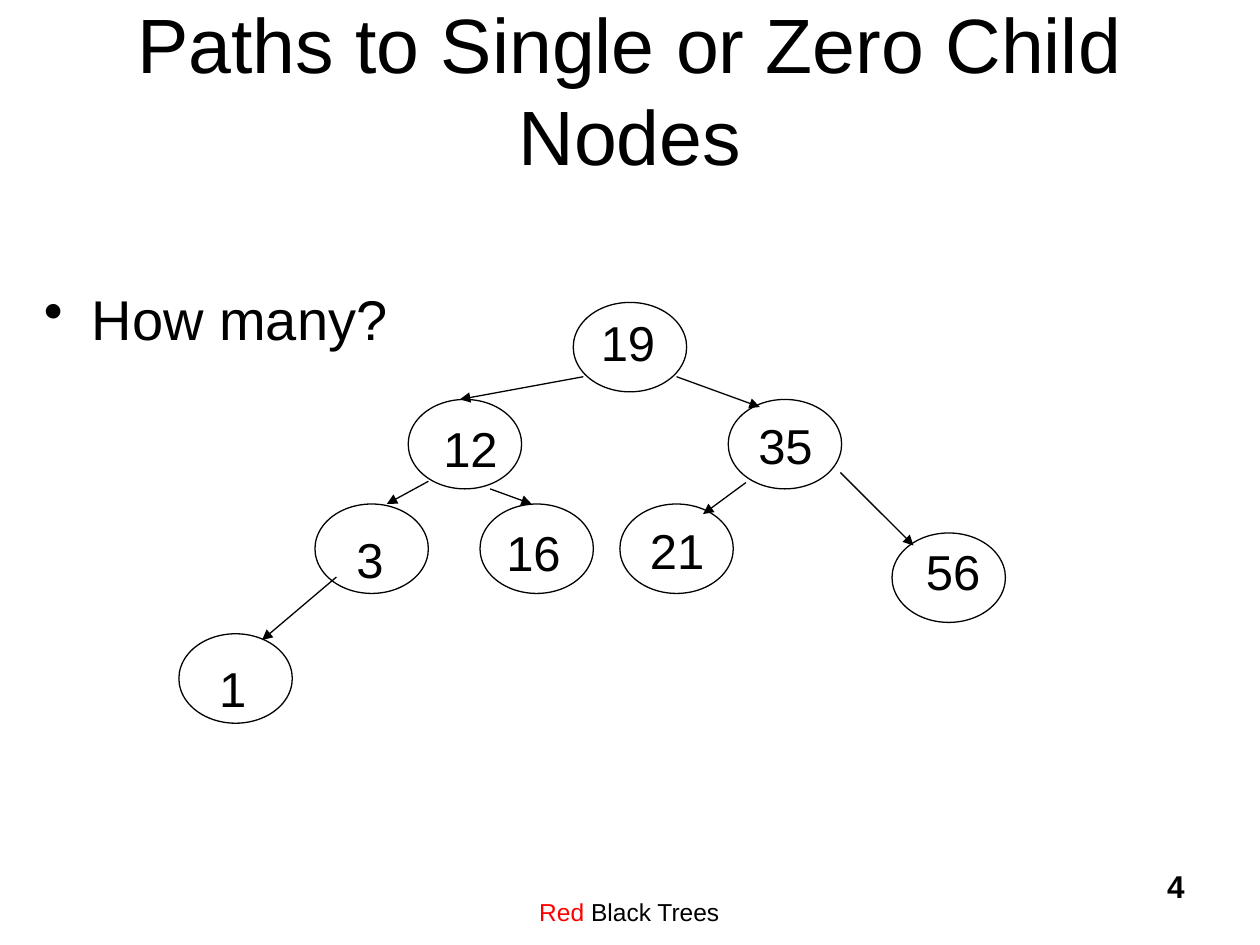
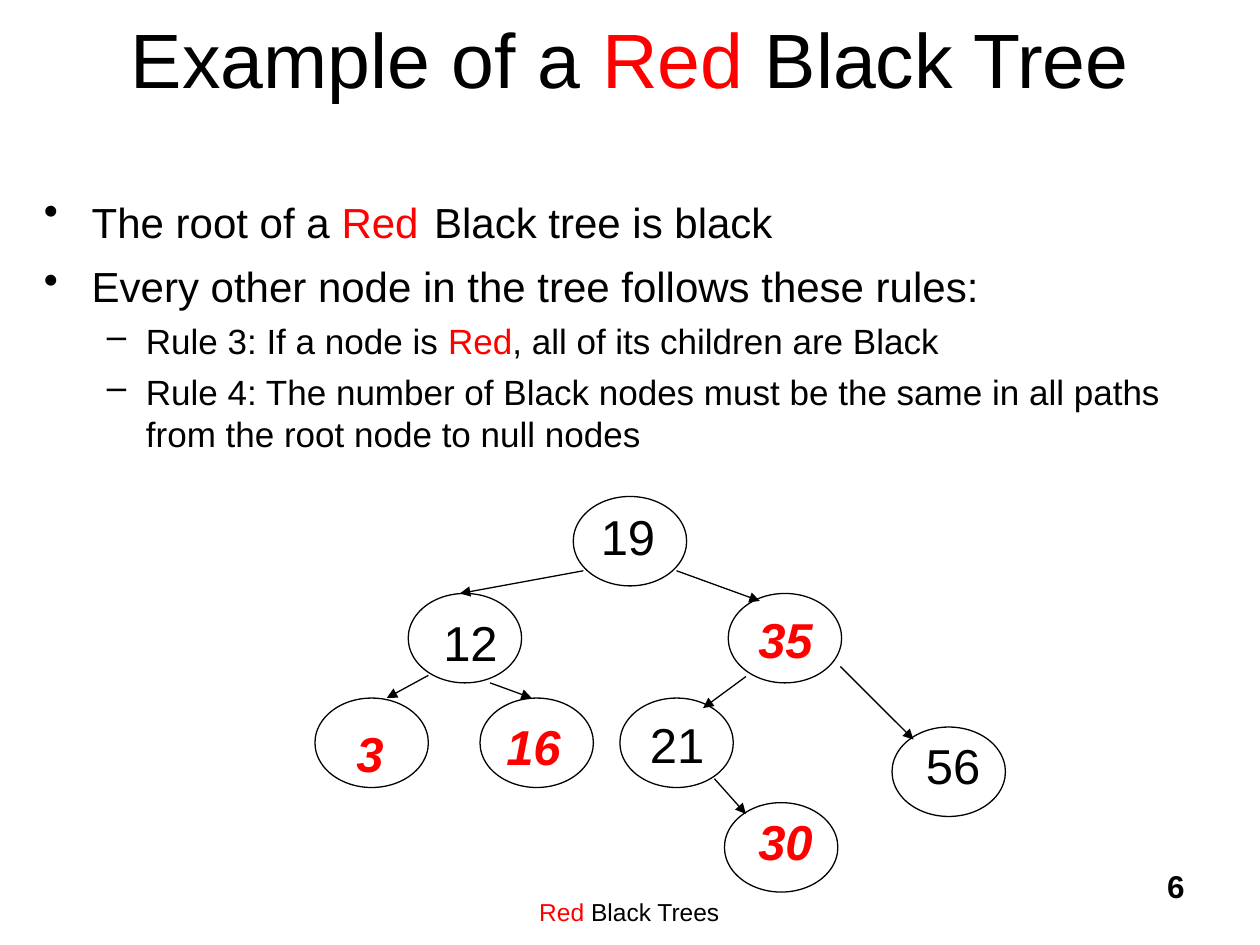
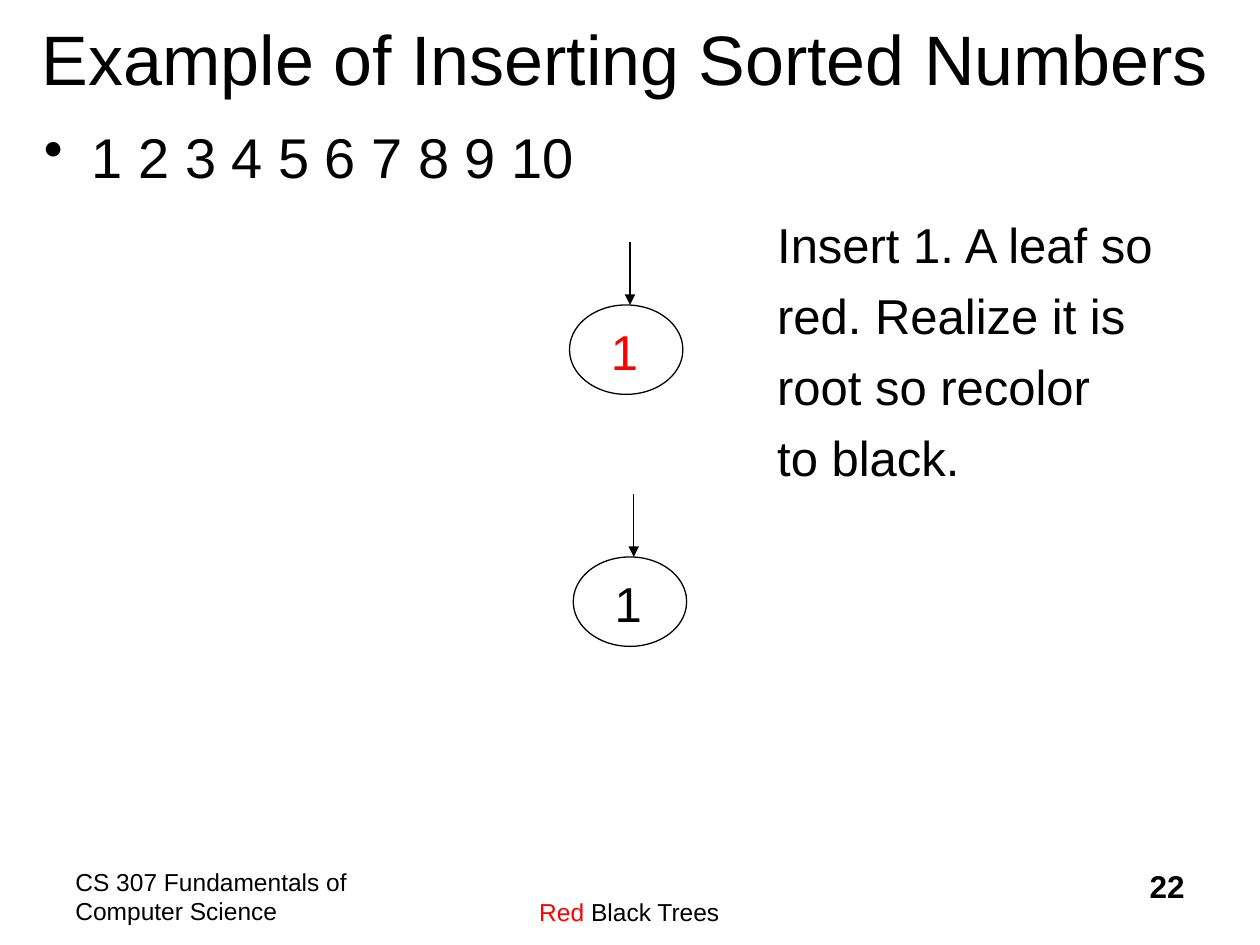
from lxml import etree
from pptx import Presentation
from pptx.dml.color import RGBColor
from pptx.enum.shapes import MSO_CONNECTOR, MSO_SHAPE
from pptx.enum.text import MSO_ANCHOR, MSO_AUTO_SIZE, PP_ALIGN
from pptx.oxml.ns import qn
from pptx.util import Inches, Pt

LEFT, CENTER, RIGHT = PP_ALIGN.LEFT, PP_ALIGN.CENTER, PP_ALIGN.RIGHT
TOP, MIDDLE = MSO_ANCHOR.TOP, MSO_ANCHOR.MIDDLE
OVAL, STRAIGHT = MSO_SHAPE.OVAL, MSO_CONNECTOR.STRAIGHT
GROW = MSO_AUTO_SIZE.SHAPE_TO_FIT_TEXT

# Shared style
FONT = "Arial"
BLACK, RED = "000000", "FF0000"
THIN = 0.74
NODE_W, NODE_H = 0.9, 0.71
BODY = (0.25, 0.92, 9.5, 6)
RED_WORD = ("Red", {"color": RED})
# Per level: bullet, left margin, hanging indent
BULLETS = [("\u2022", 0.38, 0.38), ("\u2013", 0.81, 0.31)]

# Tree, measured from the top of its root: oval x, y, then label x, y
NODES = {
    19: (4.55, 0, 4.67, 0.03),
    12: (3.24, 0.77, 3.42, 0.87),
    35: (5.78, 0.77, 5.92, 0.85),
    3: (2.5, 1.6, 2.73, 1.75),
    16: (3.81, 1.6, 3.92, 1.7),
    21: (4.92, 1.6, 5.06, 1.68),
    56: (7.08, 1.83, 7.25, 1.85),
    1: (1.42, 2.63, 1.64, 2.78),
    30: (5.75, 2.43, 5.92, 2.45),
}
# Arrow into each child: start x, y, then end x, y
ARROWS = {
    12: (4.63, 0.59, 3.65, 0.77),
    35: (5.37, 0.59, 6.03, 0.83),
    3: (3.4, 1.42, 3.07, 1.6),
    16: (3.89, 1.48, 4.22, 1.6),
    21: (5.92, 1.43, 5.58, 1.68),
    56: (6.67, 1.35, 7.25, 1.93),
    1: (2.67, 2.18, 2.08, 2.68),
    30: (5.67, 2.24, 5.92, 2.52),
}
CORE = [19, 12, 35, 3, 16, 21, 56]


def rgb(code):
    return RGBColor.from_string(code)


def fill_line(para, runs, **base):
    """Add runs to a paragraph; a run is text, or text with overrides."""
    for run in [runs] if isinstance(runs, str) else runs:
        words, own = (run, {}) if isinstance(run, str) else run
        look = {**base, **own}
        part = para.add_run()
        part.text = words
        part.font.name = FONT
        part.font.size = Pt(look["size"])
        part.font.color.rgb = rgb(look.get("color", BLACK))
        part.font.bold = look.get("bold", False)
        part.font.italic = look.get("italic", False)


def add_text(slide, box, lines, align=LEFT, anchor=TOP, before=0, inset=0.05,
             wrap=True, levels=None, sizes=None, **look):
    """Add a text box; lines holds one entry for each paragraph."""
    frame = slide.shapes.add_textbox(*map(Inches, box)).text_frame
    frame.word_wrap = wrap
    frame.vertical_anchor = anchor
    frame.margin_top = Inches(inset)
    if not wrap:
        frame.auto_size = GROW
    for i, runs in enumerate(lines):
        para = frame.paragraphs[0] if i == 0 else frame.add_paragraph()
        para.alignment = align
        level = levels[i] if levels else None
        size = sizes[level] if sizes else look["size"]
        para.space_before = Pt(size / 4 if levels else before)
        if levels:
            add_bullet(para, level)
        fill_line(para, runs, **{**look, "size": size})


def add_bullet(para, level):
    mark, margin, hang = BULLETS[level]
    para.level = level
    props = para._p.get_or_add_pPr()
    props.set("marL", str(Inches(margin)))
    props.set("indent", str(-Inches(hang)))
    etree.SubElement(props, qn("a:buChar")).set("char", mark)


def add_node(slide, label, spot, top=0, **look):
    x, y, text_x, text_y = spot
    oval = slide.shapes.add_shape(OVAL, Inches(x), Inches(top + y),
                                  Inches(NODE_W), Inches(NODE_H))
    oval.shadow.inherit = False
    oval.fill.background()
    oval.line.color.rgb = rgb(BLACK)
    oval.line.width = Pt(THIN)
    label = str(label)
    box = (text_x, top + text_y, 0.19 + 0.22 * len(label), 0.57)
    add_text(slide, box, [label], wrap=False, size=28, before=7, **look)


def add_arrow(slide, ends, top=0):
    x1, y1, x2, y2 = ends
    arrow = slide.shapes.add_connector(STRAIGHT, Inches(x1), Inches(top + y1),
                                       Inches(x2), Inches(top + y2))
    arrow.line.color.rgb = rgb(BLACK)
    arrow.line.width = Pt(THIN)
    etree.SubElement(arrow.line._get_or_add_ln(),
                     qn("a:tailEnd")).set("type", "triangle")
    etree.SubElement(arrow._element.spPr, qn("a:effectLst"))


def add_tree(slide, top, keys, reds=()):
    for key in keys:
        look = {}
        if key in reds:
            look = {"color": RED, "bold": True, "italic": True}
        add_node(slide, key, NODES[key], top, **look)
        if key in ARROWS:
            add_arrow(slide, ARROWS[key], top)


def add_slide(deck, number, title, box, size=44):
    """Start a slide with its title, footer and number."""
    slide = deck.slides.add_slide(deck.slide_layouts[6])
    add_text(slide, (3.08, 6.83, 3.83, 0.5), [[RED_WORD, " Black Trees"]],
             align=CENTER, inset=0.29, size=14)
    add_text(slide, (7.42, 6.83, 2.08, 0.5), [str(number)],
             align=RIGHT, size=18, bold=True)
    add_text(slide, box, [title], align=CENTER, anchor=MIDDLE, size=size)
    return slide


def paths_slide(deck):
    slide = add_slide(deck, 4, "Paths to Single or Zero Child Nodes",
                      (0.75, 0.08, 8.5, 1.25))
    add_text(slide, BODY, ["How many?"], levels=[0], inset=1.34, size=32)
    add_tree(slide, 2.4, CORE + [1])


def rules_slide(deck):
    slide = add_slide(deck, 6, ["Example of a ", RED_WORD, " Black Tree"],
                      (0.75, -0.17, 8.5, 1.25))
    rules = [
        ["The root of a ", RED_WORD, (" ", {"size": 32}),
         "Black tree is black"],
        "Every other node in the tree follows these rules:",
        ["Rule 3: If a node is ", RED_WORD,
         ", all of its children are Black"],
        "Rule 4: The number of Black nodes must be the same in all paths "
        "from the root node to null nodes",
    ]
    add_text(slide, BODY, rules, levels=[0, 0, 1, 1], sizes=[24, 20],
             inset=0.53)
    add_tree(slide, 3.94, CORE + [30], reds=(35, 3, 16, 30))


def insert_slide(deck):
    slide = add_slide(deck, 22, "Example of Inserting Sorted Numbers",
                      (0.17, -0.17, 9.58, 1.25), size=40)
    add_text(slide, (0.5, 6.83, 2.5, 0.5),
             ["CS 307 Fundamentals of Computer Science"], size=14)
    add_text(slide, BODY, ["1 2 3 4 5 6 7 8 9 10"], levels=[0], size=32)
    # The new node, before and after it is recolored
    for x, top, color in [(4.52, 2.42, RED), (4.55, 4.42, BLACK)]:
        add_node(slide, 1, (x, 0, x + 0.23, 0.08), top, color=color)
        add_arrow(slide, (x + 0.48, -0.5, x + 0.48, 0), top)
    add_text(slide, (6.07, 1.65, 3.33, 2.26),
             ["Insert 1. A leaf so", "red. Realize it is",
              "root so recolor", "to black."], size=28, before=7)


def main():
    deck = Presentation()
    deck.slide_width, deck.slide_height = Inches(10), Inches(7.5)
    paths_slide(deck)
    rules_slide(deck)
    insert_slide(deck)
    deck.save("out.pptx")


main()
